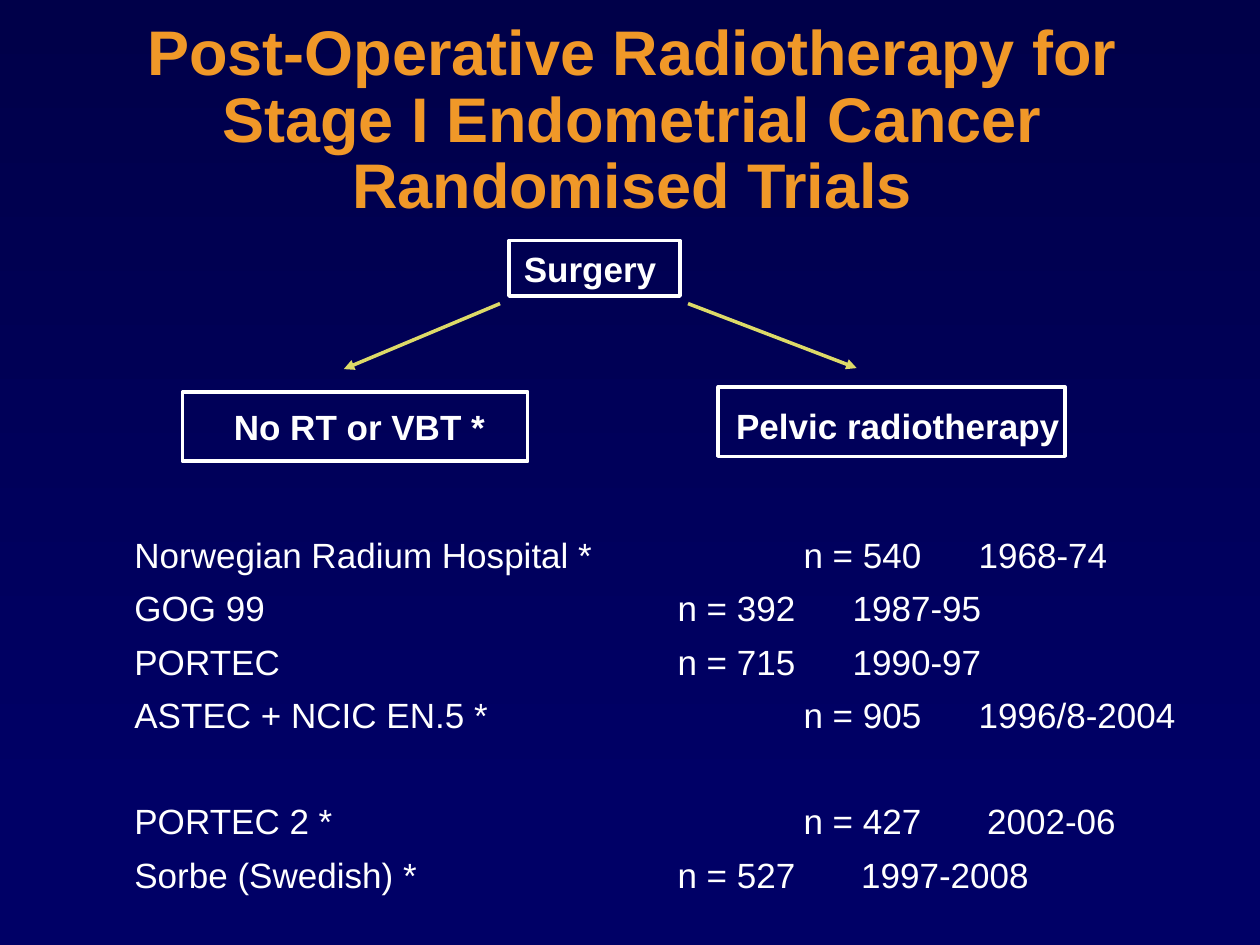
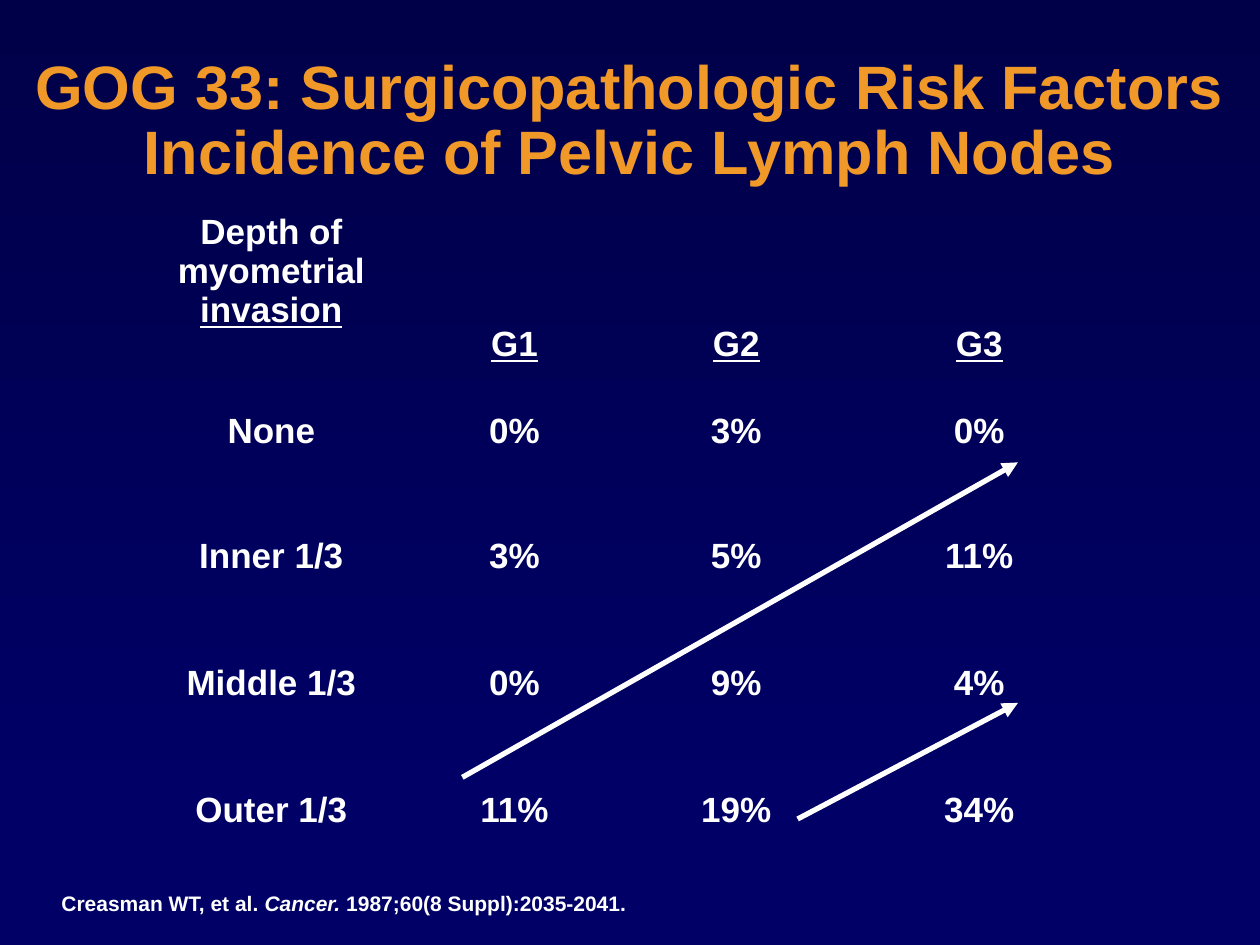
from lxml import etree
from pptx import Presentation
from pptx.dml.color import RGBColor
from pptx.enum.shapes import MSO_CONNECTOR as Conn, MSO_SHAPE as Shape
from pptx.enum.text import MSO_ANCHOR as Anchor, PP_ALIGN as Align
from pptx.oxml import parse_xml
from pptx.oxml.ns import nsdecls, qn
from pptx.util import Cm, Pt

FONT = "Arial"
WHITE = RGBColor(0xFF, 0xFF, 0xFF)
ORANGE = RGBColor(0xF0, 0x98, 0x28)
YELLOW = RGBColor(0xDD, 0xDA, 0x68)
DARK = RGBColor(0x00, 0x00, 0x49)
NAVY = RGBColor(0x00, 0x00, 0x66)
NO_GRID = "{2D5ABB26-0587-4C30-8999-92F81FD0307C}"

# Trial, patients, years, default tab steps to the right, gap to the years
TRIALS = [
    ("Norwegian Radium Hospital *", "n = 540", "1968-74", 1, 3.53),
    ("GOG 99", "n = 392", "1987-95", 0, 3.53),
    ("PORTEC", "n = 715", "1990-97", 0, 3.53),
    ("ASTEC + NCIC EN.5 *", "n = 905", "1996/8-2004", 1, 3.53),
    ("PORTEC 2 *", "n = 427", "2002-06", 1, 3.7),
    ("Sorbe (Swedish) *", "n = 527", "1997-2008", 0, 3.7),
]
NEW_GROUP = 4
TAB, STEP = 10.95, 2.54

GRADES = ["G1", "G2", "G3"]
NODES = [
    ("None", "0%", "3%", "0%"),
    ("Inner 1/3", "3%", "5%", "11%"),
    ("Middle 1/3", "0%", "9%", "4%"),
    ("Outer 1/3", "11%", "19%", "34%"),
]


def write(par, text, size=20, color=WHITE, bold=True, italic=False,
          under=False, shadow=False):
    """Add one formatted run to a paragraph."""
    run = par.add_run()
    run.text = text
    font = run.font
    font.name, font.size, font.color.rgb = FONT, Pt(size), color
    font.bold, font.italic, font.underline = bold, italic, under
    if shadow:
        font._element.find(qn("a:solidFill")).addnext(parse_xml(
            f'<a:effectLst {nsdecls("a")}>'
            '<a:outerShdw dist="38100" dir="2700000">'
            '<a:srgbClr val="000000"/></a:outerShdw></a:effectLst>'))


def add_box(slide, x, y, wide, high, wrap=True):
    box = slide.shapes.add_textbox(Cm(x), Cm(y), Cm(wide), Cm(high))
    box.text_frame.word_wrap = wrap
    return box.text_frame


def add_title(slide, lines, x, wide, size):
    frame = add_box(slide, x, 0.88, wide, 3.18)
    frame.vertical_anchor = Anchor.MIDDLE
    par = frame.paragraphs[0]
    par.alignment = Align.CENTER
    par.line_spacing = 0.88
    for i, line in enumerate(lines):
        if i:
            par.add_line_break()
        write(par, line, size=size, color=ORANGE, shadow=True)


def add_arm(slide, text, x, y, wide, high, left=0.0, top=0.13, right=0.0,
            align=Align.LEFT):
    """Draw one outlined box of the trial scheme."""
    arm = slide.shapes.add_shape(Shape.RECTANGLE, Cm(x), Cm(y),
                                 Cm(wide), Cm(high))
    arm.shadow.inherit = False
    arm.fill.background()
    arm.line.color.rgb, arm.line.width = WHITE, Pt(2)
    frame = arm.text_frame
    frame.word_wrap = True
    frame.vertical_anchor = Anchor.MIDDLE
    frame.margin_left, frame.margin_right = Cm(left), Cm(right)
    frame.margin_top, frame.margin_bottom = Cm(top), Cm(0.13)
    par = frame.paragraphs[0]
    par.alignment = align
    write(par, text)


def add_arrow(slide, start, end, color, width):
    line = slide.shapes.add_connector(Conn.STRAIGHT,
                                      *map(Cm, start), *map(Cm, end))
    line.line.color.rgb, line.line.width = color, Pt(width)
    pen = line.line._get_or_add_ln()
    etree.SubElement(pen, qn("a:tailEnd"), type="triangle")
    etree.SubElement(line._element.spPr, qn("a:effectLst"))


def set_tabs(par, *stops):
    tabs = etree.SubElement(par._p.get_or_add_pPr(), qn("a:tabLst"))
    for stop in stops:
        etree.SubElement(tabs, qn("a:tab"), pos=str(Cm(stop)), algn="l")


def add_trials(slide):
    frame = add_box(slide, 2.46, 10.72, 22.58, 7.2)
    for i, (name, count, years, step, gap) in enumerate(TRIALS):
        par = frame.add_paragraph() if i else frame.paragraphs[0]
        stop = TAB + step * STEP
        set_tabs(par, stop, stop + gap)
        par.line_spacing = 0.9
        if i:
            par.space_before = Pt(38.7 if i == NEW_GROUP else 9)
        write(par, f"{name}\t{count}\t{years}", bold=False)


def fill_cell(cell, *parts, anchor=Anchor.MIDDLE):
    """Fill a cell with (text, underlined) parts."""
    cell.fill.background()
    cell.vertical_anchor = anchor
    par = cell.text_frame.paragraphs[0]
    par.alignment = Align.CENTER
    for text, under in parts:
        write(par, text, under=under)


def add_nodes(slide):
    """Place the table of node rates by depth and grade."""
    wides, highs = (5.76, 4.04, 4.9, 4.9), (3.3, 2.46, 2.57, 2.54, 2.57)
    frame = slide.shapes.add_table(len(highs), len(wides), Cm(2.59), Cm(4.17),
                                   Cm(sum(wides)), Cm(sum(highs)))
    table = frame.table
    table.first_row = table.horz_banding = False
    table._tbl.tblPr.find(qn("a:tableStyleId")).text = NO_GRID
    for col, wide in zip(table.columns, wides):
        col.width = Cm(wide)
    for row, high in zip(table.rows, highs):
        row.height = Cm(high)
    fill_cell(table.cell(0, 0), ("Depth of myometrial ", False),
              ("invasion", True), anchor=Anchor.TOP)
    for c, grade in enumerate(GRADES, 1):
        fill_cell(table.cell(0, c), (grade, True), anchor=Anchor.BOTTOM)
    for r, row in enumerate(NODES, 1):
        for c, text in enumerate(row):
            fill_cell(table.cell(r, c), (text, False))


def add_source(slide):
    par = add_box(slide, 0.99, 17.83, 11.99, 0.76, wrap=False).paragraphs[0]
    write(par, "Creasman WT, et al. ", size=12)
    write(par, "Cancer.", size=12, italic=True)
    write(par, " 1987;60(8 Suppl):2035-2041.", size=12)


def set_back(deck):
    """Give all slides the shared gradient through the master."""
    fill = deck.slide_master.background.fill
    fill.gradient()
    fill.gradient_angle = 270
    for stop, color, pos in zip(fill.gradient_stops, (DARK, NAVY), (0, 0.86)):
        stop.color.rgb, stop.position = color, pos


def add_scheme(slide):
    add_title(slide, ["Post-Operative Radiotherapy for Stage I "
                      "Endometrial Cancer", "Randomised Trials"],
              1.3, 22.89, 36)
    add_trials(slide)
    add_arrow(slide, (13.87, 6.12), (17.27, 7.42), YELLOW, 2)
    add_arrow(slide, (10.08, 6.12), (6.93, 7.44), YELLOW, 2)
    add_arm(slide, "Surgery", 10.26, 4.85, 3.45, 1.12, left=0.3)
    add_arm(slide, "No RT or VBT *", 3.68, 7.9, 6.96, 1.4, right=0.86,
            align=Align.RIGHT)
    add_arm(slide, "Pelvic radiotherapy", 14.48, 7.8, 6.99, 1.4,
            left=0.36, top=0.3)


def add_risk(slide):
    add_title(slide, ["GOG 33: Surgicopathologic Risk Factors",
                      "Incidence of Pelvic Lymph Nodes"], 0, 25.4, 35)
    add_nodes(slide)
    add_source(slide)
    add_arrow(slide, (9.32, 15.67), (20.52, 9.32), WHITE, 3)
    add_arrow(slide, (16.08, 16.51), (20.52, 14.17), WHITE, 3)


def main():
    deck = Presentation()
    deck.slide_width, deck.slide_height = Cm(25.4), Cm(19.05)
    set_back(deck)
    blank = deck.slide_layouts[6]
    for build in (add_scheme, add_risk):
        build(deck.slides.add_slide(blank))
    deck.save("out.pptx")


if __name__ == "__main__":
    main()
